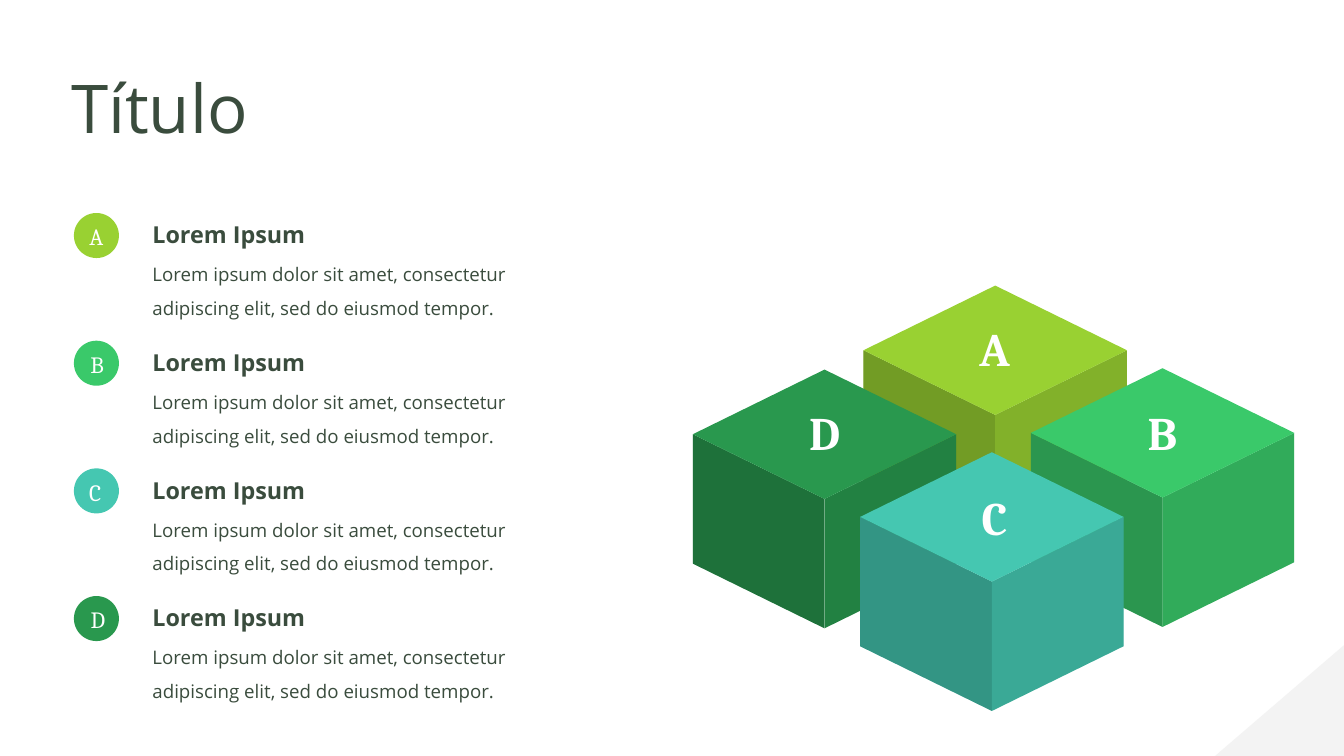
from lxml import etree
from pptx import Presentation
from pptx.dml.color import RGBColor
from pptx.enum.shapes import MSO_SHAPE
from pptx.enum.text import MSO_AUTO_SIZE, PP_ALIGN
from pptx.oxml.ns import qn
from pptx.util import Inches, Pt

OVAL = MSO_SHAPE.OVAL
TRIANGLE = MSO_SHAPE.ISOSCELES_TRIANGLE
LEFT, CENTER = PP_ALIGN.LEFT, PP_ALIGN.CENTER
FIT_SHAPE = MSO_AUTO_SIZE.SHAPE_TO_FIT_TEXT

COLORS = {
    "A": "99D132",
    "B": "3AC96A",
    "C": "45C7B1",
    "D": "29984E",
    "text": "3A4C3D",
    "white": "FFFFFF",
    "shade": "000000",
    "corner": "E8E8E8",
}
SANS, SERIF = "Open Sans", "Cambria"

HEADING = "Lorem Ipsum"
DESCRIPTION = ("Lorem ipsum dolor sit amet, consectetur adipiscing elit, "
               "sed do eiusmod tempor.")

# Letter, left and top of the list row, left of the badge letter
LIST_ROWS = [("A", 1.19), ("B", 1.2), ("C", 1.17), ("D", 1.21)]
LIST_LEFT, LIST_TOP, ROW_PITCH = 1.1, 3.17, 1.9

# Letter, left and top of the cube, left and top of its letter; back to front
CUBES = [
    ("A", 12.85, 4.25, 14.35, 4.71),
    ("B", 15.34, 5.48, 16.85, 5.96),
    ("D", 10.31, 5.5, 11.82, 5.96),
    ("C", 12.8, 6.73, 14.35, 7.22),
]
CUBE_WIDTH, CUBE_HEIGHT = 3.92, 3.85
SHADE_LEFT, SHADE_RIGHT = 25, 15


def paint(shape, color, opacity=100):
    """Flat fill without line or shadow; opacity in percent."""
    shape.shadow.inherit = False
    shape.line.fill.background()
    shape.fill.solid()
    shape.fill.fore_color.rgb = RGBColor.from_string(COLORS[color])
    if opacity < 100:
        color_element = shape.fill._xPr.find(qn("a:solidFill"))[0]
        alpha = etree.SubElement(color_element, qn("a:alpha"))
        alpha.set("val", str(opacity * 1000))


def add_text(slide, box, text, size, font=SANS, color="text", bold=False,
             align=LEFT, line_spacing=None):
    text_box = slide.shapes.add_textbox(*(Inches(value) for value in box))
    frame = text_box.text_frame
    frame.word_wrap = True
    frame.auto_size = FIT_SHAPE
    paragraph = frame.paragraphs[0]
    paragraph.text = text
    paragraph.alignment = align
    paragraph.line_spacing = line_spacing
    paragraph.font.name = font
    paragraph.font.size = Pt(size)
    paragraph.font.bold = bold
    paragraph.font.color.rgb = RGBColor.from_string(COLORS[color])


def add_face(slide, points, color, opacity=100):
    corners = [(Inches(x), Inches(y)) for x, y in points]
    builder = slide.shapes.build_freeform(*corners[0])
    builder.add_line_segments(corners[1:], close=True)
    paint(builder.convert_to_shape(), color, opacity)


def add_list_row(slide, left, top, letter, letter_left):
    # Description and heading
    add_text(slide, (left + 1.07, top + 0.53, 6.46, 1.05), DESCRIPTION, 20,
             line_spacing=1.5)
    add_text(slide, (left + 1.07, top + 0.06, 3.04, 0.52), HEADING, 25, bold=True)
    # Round badge
    badge = slide.shapes.add_shape(OVAL, Inches(left), Inches(top),
                                   Inches(0.67), Inches(0.67))
    paint(badge, letter)
    add_text(slide, (letter_left, top + 0.09, 0.49, 0.52), letter, 25,
             font=SERIF, color="white", align=CENTER)


def add_cube(slide, left, top, width, height, letter, letter_left, letter_top):
    middle, right = left + width / 2, left + width
    quarter = height / 4
    shoulder, front = top + quarter, top + 2 * quarter
    base, bottom = top + 3 * quarter, top + height

    # Side faces, each darkened by a translucent layer
    for outer, shade in ((left, SHADE_LEFT), (right, SHADE_RIGHT)):
        side = [(outer, base), (outer, shoulder), (middle, front), (middle, bottom)]
        add_face(slide, side, letter)
        add_face(slide, side, "shade", shade)

    # Top face and its letter
    add_face(slide, [(middle, top), (right, shoulder), (middle, front),
                     (left, shoulder)], letter)
    add_text(slide, (letter_left, letter_top, 0.9, 0.94), letter, 50,
             font=SERIF, color="white", bold=True, align=CENTER)


def add_corner(slide, left, top, width, height):
    corner = slide.shapes.add_shape(TRIANGLE, Inches(left), Inches(top),
                                    Inches(width), Inches(height))
    corner.adjustments[0] = 1
    paint(corner, "corner", 50)


def main():
    presentation = Presentation()
    presentation.slide_width = Inches(20)
    presentation.slide_height = Inches(11.25)
    slide = presentation.slides.add_slide(presentation.slide_layouts[6])

    for index, (letter, letter_left) in enumerate(LIST_ROWS):
        add_list_row(slide, LIST_LEFT, LIST_TOP + index * ROW_PITCH,
                     letter, letter_left)
    for letter, left, top, letter_left, letter_top in CUBES:
        add_cube(slide, left, top, CUBE_WIDTH, CUBE_HEIGHT,
                 letter, letter_left, letter_top)
    add_corner(slide, 18.08, 9.6, 1.92, 1.65)
    add_text(slide, (0.96, 0.94, 5.04, 1.31), "Título", 72)

    presentation.save("out.pptx")


if __name__ == "__main__":
    main()
